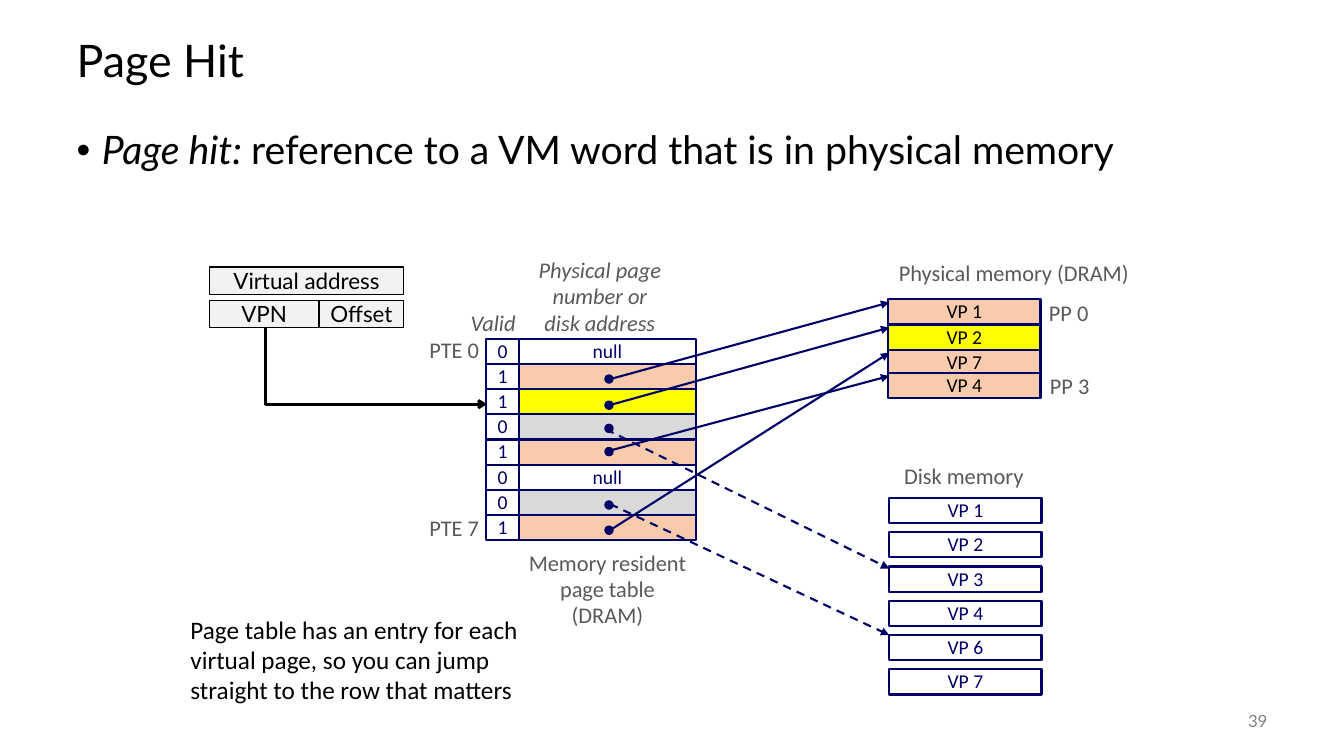
from lxml.etree import SubElement
from pptx import Presentation
from pptx.dml.color import RGBColor
from pptx.enum.dml import MSO_LINE
from pptx.enum.shapes import MSO_CONNECTOR, MSO_SHAPE
from pptx.enum.text import MSO_ANCHOR, MSO_AUTO_SIZE, PP_ALIGN
from pptx.oxml.ns import qn
from pptx.util import Pt

PX = 9144  # 100 px to the inch

NAVY, BLACK, GREY, WHITE = "000066", "000000", "595959", "FFFFFF"
PEACH, YELLOW, SILVER, PALE = "F8CBAD", "FFFF00", "D9D9D9", "F2F2F2"
LEFT, CENTER, RIGHT = PP_ALIGN.LEFT, PP_ALIGN.CENTER, PP_ALIGN.RIGHT
TOP, MIDDLE = MSO_ANCHOR.TOP, MSO_ANCHOR.MIDDLE

# Content
TITLE = "Page Hit"
BULLET = [("Page hit: ", True),
          ("reference to a VM word that is in physical memory", False)]

# valid bit, text, fill, top of the dot
PAGE_TABLE = [
    ("0", "null", WHITE, None),
    ("1", "", PEACH, 372),
    ("1", "", YELLOW, 398),
    ("0", "", SILVER, 421),
    ("1", "", PEACH, 444),
    ("0", "null", WHITE, None),
    ("0", "", SILVER, 497),
    ("1", "", PEACH, 522),
]
PHYSICAL_PAGES = [("VP 1", PEACH, 297), ("VP 2", YELLOW, 322),
                  ("VP 7", PEACH, 347), ("VP 4", PEACH, 370)]
DISK_PAGES = ["VP 1", "VP 2", "VP 3", "VP 4", "VP 6", "VP 7"]

# start, end, dashed
PAGE_ARROWS = [
    ((602, 377), (882, 300), False),
    ((608, 401), (882, 325), False),
    ((601, 426), (882, 564), True),
    ((605, 447), (882, 373), False),
    ((605, 500), (882, 630), True),
    ((605, 526), (882, 350), False),
]
ADDRESS_BOXES = [("Virtual address", (208, 265, 192, 27)),
                 ("VPN", (208, 298, 108, 27)),
                 ("Offset", (317, 298, 83, 27))]

# lines, place, alignment, anchor, italic
LABELS = [
    (["Memory resident", "page table", "(DRAM)"], (510, 541, 185, 89), CENTER, TOP, False),
    (["Physical page", "number or", "disk address"], (522, 250, 146, 89), CENTER, MIDDLE, True),
    (["Physical memory (DRAM)"], (856, 253, 299, 37), CENTER, TOP, False),
    (["Disk memory"], (886, 455, 140, 37), CENTER, TOP, False),
    (["Valid"], (457, 303, 75, 37), LEFT, TOP, True),
    (["PTE 0"], (415, 329, 70, 37), RIGHT, MIDDLE, False),
    (["PTE 7"], (415, 506, 70, 37), RIGHT, MIDDLE, False),
    (["PP 0"], (1030, 293, 60, 37), CENTER, MIDDLE, False),
    (["PP 3"], (1031, 365, 60, 37), CENTER, MIDDLE, False),
]
NOTE = ("Page table has an entry for each virtual page, "
        "so you can jump straight to the row that matters")
PAGE_NUMBER = "39"

# Measures
ROW_HEIGHT = 25
TABLE_TOP, VALID_LEFT, VALID_WIDTH, ENTRY_WIDTH = 336, 482, 33, 175
ENTRY_LEFT = VALID_LEFT + VALID_WIDTH
DOT_LEFT, DOT_SIZE = 600, 8
PHYSICAL_LEFT, DISK_LEFT, PAGE_WIDTH = 881, 882, 151
DISK_TOP, DISK_STEP = 494, 34


def color(value):
    return RGBColor.from_string(value)


def emu(lengths):
    return [length * PX for length in lengths]


def style(target, formats):
    for name, value in formats.items():
        setattr(target, name, value)


def write(shape, lines, size, ink, font="Calibri", align=CENTER, anchor=MIDDLE,
          wrap=False, spacing=0.98):
    """Each line is a string or a list of (text, italic) spans."""
    frame = shape.text_frame
    style(frame, {"word_wrap": wrap, "vertical_anchor": anchor,
                  "auto_size": MSO_AUTO_SIZE.NONE})
    for index, line in enumerate(lines):
        para = frame.paragraphs[0] if index == 0 else frame.add_paragraph()
        style(para, {"alignment": align, "line_spacing": spacing, "space_before": Pt(0)})
        for text, italic in [(line, False)] if isinstance(line, str) else line:
            span = para.add_run()
            span.text = text
            style(span.font, {"name": font, "size": Pt(size), "italic": italic})
            span.font.color.rgb = color(ink)


def add_box(place, fill, line=NAVY, width=1.5, kind=MSO_SHAPE.RECTANGLE):
    box = page.shapes.add_shape(kind, *emu(place))
    box.shadow.inherit = False
    if fill:
        box.fill.solid()
        box.fill.fore_color.rgb = color(fill)
    else:
        box.fill.background()
    box.line.color.rgb = color(line)
    box.line.width = Pt(width)
    return box


def add_text(place, lines, size, ink, **formats):
    write(page.shapes.add_textbox(*emu(place)), lines, size, ink, **formats)


def add_arrow(kind, start, end, ink, width, head):
    arrow = page.shapes.add_connector(kind, *emu(start + end))
    arrow.line.color.rgb = color(ink)
    arrow.line.width = Pt(width)
    SubElement(arrow.line._get_or_add_ln(), qn("a:tailEnd"), type=head)
    SubElement(arrow._element.spPr, qn("a:effectLst"))
    return arrow


deck = Presentation()
deck.slide_width, deck.slide_height = emu((1333, 750))
page = deck.slides.add_slide(deck.slide_layouts[1])

# Title and bullet
title, body = page.placeholders
for holder, place in ((title, (66, 25, 1200, 75)), (body, (66, 125, 1200, 550))):
    style(holder, dict(zip(("left", "top", "width", "height"), emu(place))))
write(title, [TITLE], 32, BLACK, font="Lato", align=LEFT, wrap=True, spacing=0.9)
bullet_format = body.text_frame.paragraphs[0]._p.get_or_add_pPr()
bullet_format.set("marL", str(25 * PX))
bullet_format.set("indent", str(-25 * PX))
SubElement(bullet_format, qn("a:buChar"), char="•")
write(body, [BULLET], 28, BLACK, font="Lato", align=LEFT, anchor=TOP,
      wrap=True, spacing=0.9)

# Page table
for row, (valid, text, fill, dot_top) in enumerate(PAGE_TABLE):
    top = TABLE_TOP + row * ROW_HEIGHT
    entry = add_box((ENTRY_LEFT, top, ENTRY_WIDTH, ROW_HEIGHT), fill)
    if text:
        write(entry, [text], 14, NAVY)
    write(add_box((VALID_LEFT, top, VALID_WIDTH, ROW_HEIGHT), None), [valid], 14, NAVY)

# Physical memory and disk
for text, fill, top in PHYSICAL_PAGES:
    write(add_box((PHYSICAL_LEFT, top, PAGE_WIDTH, ROW_HEIGHT), fill), [text], 14, BLACK)
for row, text in enumerate(DISK_PAGES):
    top = DISK_TOP + row * DISK_STEP
    write(add_box((DISK_LEFT, top, PAGE_WIDTH, ROW_HEIGHT), WHITE), [text], 14, NAVY)

# Dots and arrows from the entries to the pages
for _, _, _, dot_top in PAGE_TABLE:
    if dot_top:
        add_box((DOT_LEFT, dot_top, DOT_SIZE, DOT_SIZE), NAVY, width=1, kind=MSO_SHAPE.OVAL)
for start, end, dashed in PAGE_ARROWS:
    arrow = add_arrow(MSO_CONNECTOR.STRAIGHT, start, end, NAVY, 1.5, "triangle")
    if dashed:
        arrow.line.dash_style = MSO_LINE.DASH

# Virtual address, with a one-bend arrow turned to run down and then right
for text, place in ADDRESS_BOXES:
    write(add_box(place, PALE, BLACK, 1), [text], 16, BLACK, font="Lato", spacing=1.0)
bend = add_arrow(MSO_CONNECTOR.ELBOW, (335, 253), (411, 473), BLACK, 2, "arrow")
bend_frame = bend._element.spPr.find(qn("a:xfrm"))
bend_frame.set("rot", str(270 * 60000))
bend_frame.set("flipH", "1")
bend._element.spPr.find(qn("a:prstGeom")).set("prst", "bentConnector2")

# Labels, note and page number
for lines, place, align, anchor, italic in LABELS:
    add_text(place, [[(line, italic)] for line in lines], 16, GREY,
             align=align, anchor=anchor)
add_text((179, 604, 358, 101), [NOTE], 18, BLACK, align=LEFT, anchor=TOP,
         wrap=True, spacing=1.0)
add_text((1167, 695, 100, 40), [PAGE_NUMBER], 12, "808080", font="Lato",
         align=RIGHT, wrap=True, spacing=1.0)

deck.save("out.pptx")
